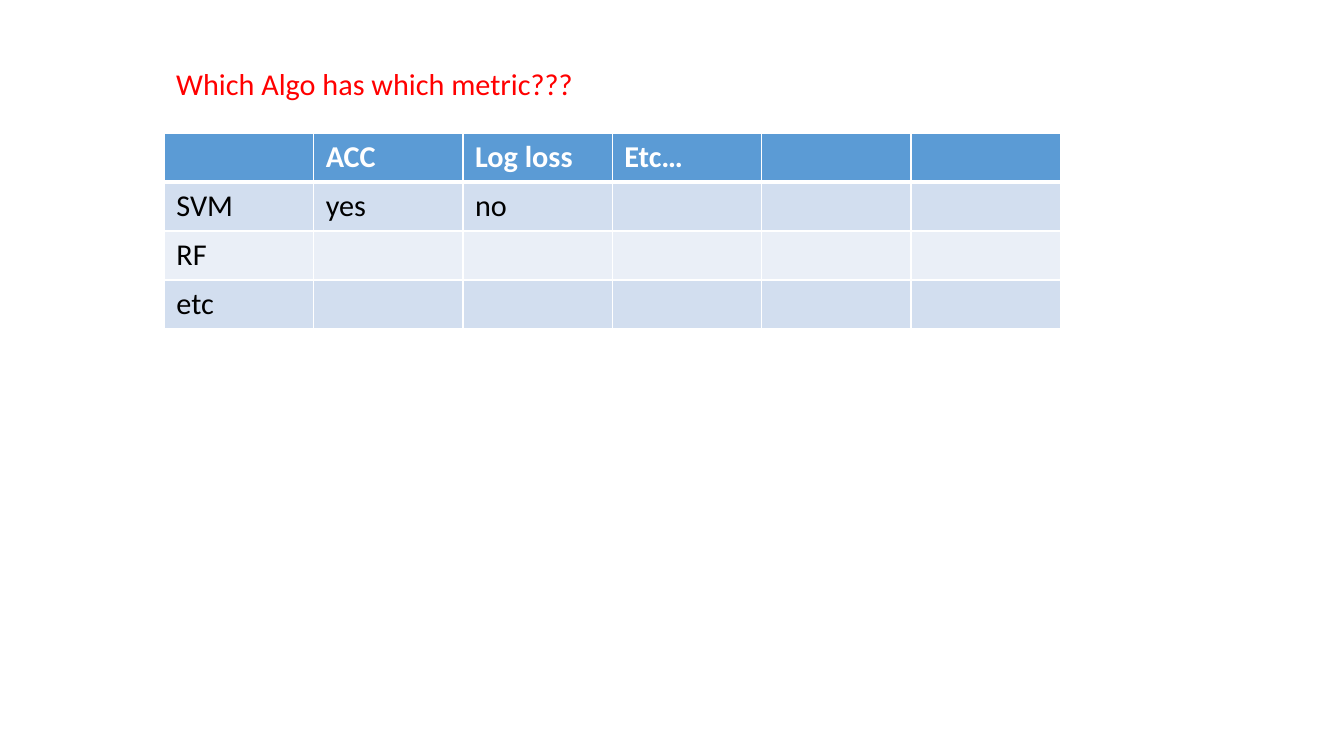
import pptx
import pptx.dml.color
import pptx.enum.text
import pptx.oxml.ns
import pptx.util
from lxml import etree

Cm, Pt = pptx.util.Cm, pptx.util.Pt
qn = pptx.oxml.ns.qn

FONT = "Calibri"
COLORS = {
    "question": "FF0000",
    "header": "5B9BD5",
    "band_dark": "D2DEEF",
    "band_light": "EAEFF7",
    "white": "FFFFFF",
    "black": "000000",
}
COLUMNS = 6
METRICS = [
    ["", "ACC", "Log loss", "Etc…"],
    ["SVM", "yes", "no"],
    ["RF"],
    ["etc"],
]


def rgb(name):
    return pptx.dml.color.RGBColor.from_string(COLORS[name])


def add_run(p, text, color, bold=False):
    r = p.add_run()
    r.text = text
    r.font.name = FONT
    r.font.size = Pt(18)
    r.font.bold = bold
    r.font.color.rgb = rgb(color)


def add_question(s, left, top, width, height):
    tf = s.shapes.add_textbox(left, top, width, height).text_frame
    tf.word_wrap = False
    tf.auto_size = pptx.enum.text.MSO_AUTO_SIZE.SHAPE_TO_FIT_TEXT
    add_run(tf.paragraphs[0], "Which Algo has which metric???", "question")


def set_borders(cell, top, bottom):
    """Draw white cell edges; top and bottom are widths in points."""
    tcPr = cell._tc.get_or_add_tcPr()
    for side, width in (("L", 1), ("R", 1), ("T", top), ("B", bottom)):
        ln = etree.SubElement(tcPr, qn(f"a:ln{side}"), w=str(Pt(width)))
        fill = etree.SubElement(ln, qn("a:solidFill"))
        etree.SubElement(fill, qn("a:srgbClr"), val=COLORS["white"])


def add_metric_table(s, left, top, width, height):
    table = s.shapes.add_table(len(METRICS), COLUMNS, left, top, width, height).table
    for i, texts in enumerate(METRICS):
        header = i == 0
        band = "header" if header else "band_dark" if i % 2 else "band_light"
        for j, cell in enumerate(table.rows[i].cells):
            set_borders(cell, top=3 if i == 1 else 1, bottom=3 if header else 1)
            cell.fill.solid()
            cell.fill.fore_color.rgb = rgb(band)
            if j < len(texts) and texts[j]:
                add_run(cell.text_frame.paragraphs[0], texts[j],
                        "white" if header else "black", bold=header)


def main():
    prs = pptx.Presentation()
    prs.slide_width, prs.slide_height = Cm(28.22), Cm(15.88)
    s = prs.slides.add_slide(prs.slide_layouts[6])
    left = Cm(3.45)
    add_question(s, left, Cm(1.25), Cm(8.94), Cm(1.03))
    add_metric_table(s, left, Cm(2.79), Cm(18.82), Cm(4.12))
    prs.save("out.pptx")


if __name__ == "__main__":
    main()
